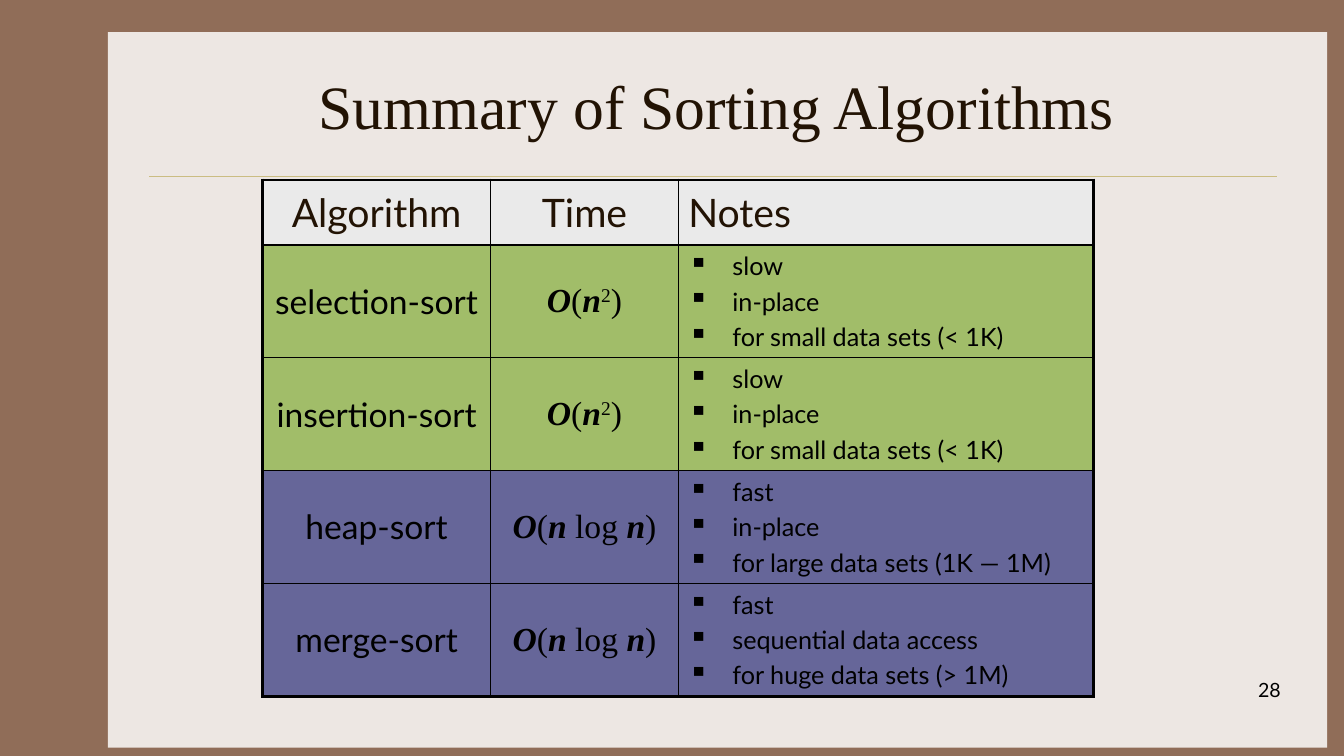
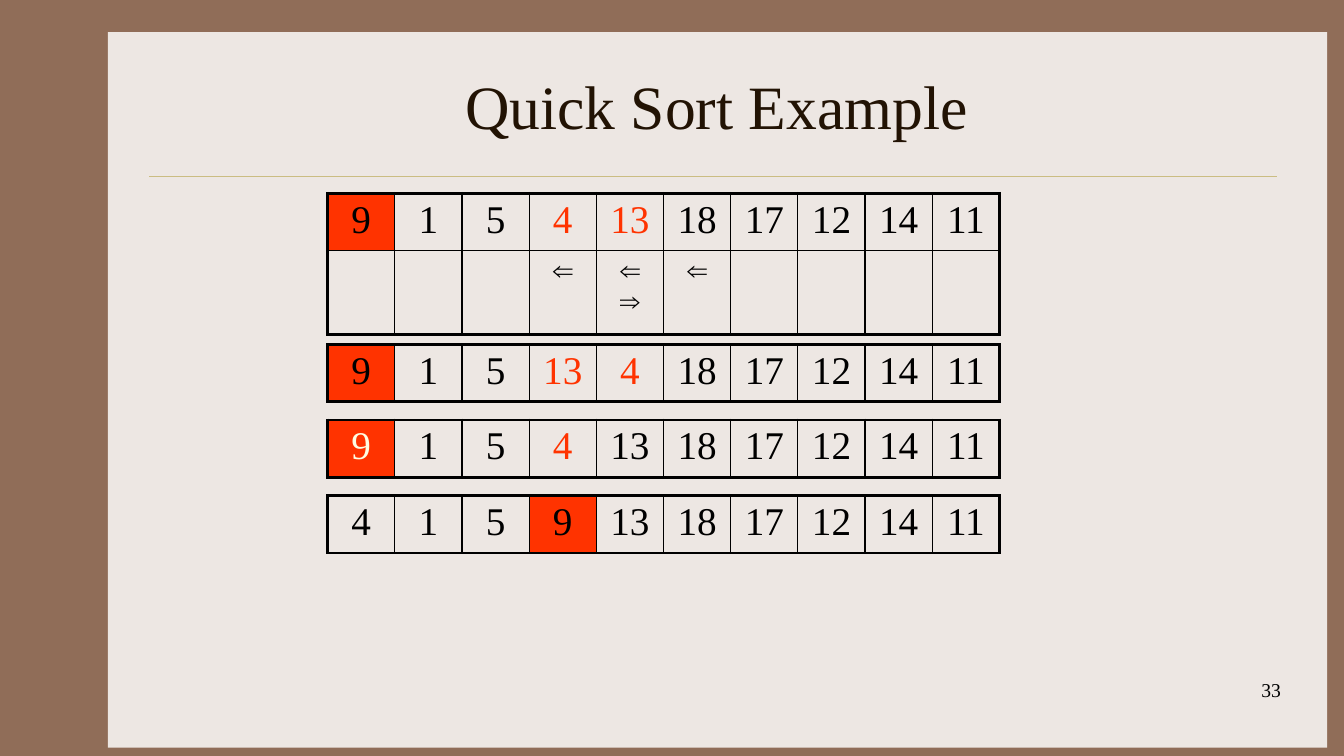
import dataclasses
import typing

import lxml.etree
import pptx
import pptx.dml.color
import pptx.enum.shapes
import pptx.enum.text
import pptx.oxml.ns
import pptx.util

Pt = pptx.util.Pt
qn = pptx.oxml.ns.qn
Align = pptx.enum.text.PP_ALIGN
Anchor = pptx.enum.text.MSO_ANCHOR

COLORS = {
    "frame": "906D58",
    "paper": "EDE7E3",
    "rule": "CBBD83",
    "heading": "221304",
    "ink": "000000",
    "cream": "FEFDE3",
    "header": "EAEAEA",
    "slow": "A1BD69",
    "fast": "666699",
    "pivot": "FF3300",
}
SERIF = "Times New Roman"
SANS = "Lato"
THICK, THIN = 2.25, 1
BULLET_INDENT = 31.5


@dataclasses.dataclass(frozen=True)
class Span:
    text: str
    strong: bool = False
    raised: bool = False


@dataclasses.dataclass(frozen=True)
class Cell:
    text: str | tuple[Span, ...] = ""
    fill: str | None = None
    size: float = 28
    font: str = SERIF
    color: str = "ink"
    align: Align = Align.CENTER
    bold: bool = False
    bullet: str | None = None


@dataclasses.dataclass(frozen=True)
class Algorithm:
    name: str
    time: tuple[Span, ...]
    notes: str
    fill: str


@dataclasses.dataclass(frozen=True)
class Step:
    top: float
    numbers: tuple[int, ...]
    pivot: int
    marked: tuple[int, ...] = ()
    pivot_color: str = "ink"
    arrows: dict[int, str] = dataclasses.field(default_factory=dict)


QUADRATIC = (Span("O", strong=True), Span("("), Span("n", strong=True),
             Span("2", raised=True), Span(")"))
LINEARITHMIC = (Span("O", strong=True), Span("("), Span("n", strong=True),
                Span(" log "), Span("n", strong=True), Span(")"))
SMALL_NOTES = "slow\nin-place\nfor small data sets (< 1K)"

ALGORITHMS = (
    Algorithm("selection-sort", QUADRATIC, SMALL_NOTES, "slow"),
    Algorithm("insertion-sort", QUADRATIC, SMALL_NOTES, "slow"),
    Algorithm("heap-sort", LINEARITHMIC,
              "fast\nin-place\nfor large data sets (1K — 1M)", "fast"),
    Algorithm("merge-sort", LINEARITHMIC,
              "fast\nsequential data access\nfor huge data sets (> 1M)", "fast"),
)

TAIL = (18, 17, 12, 14, 11)
STEPS = (
    Step(138, (9, 1, 5, 4, 13, *TAIL), pivot=0, marked=(3, 4),
         arrows={3: "⇐", 4: "⇐ ⇒", 5: "⇐"}),
    Step(246, (9, 1, 5, 13, 4, *TAIL), pivot=0, marked=(3, 4)),
    Step(300, (9, 1, 5, 4, 13, *TAIL), pivot=0, marked=(3,), pivot_color="cream"),
    Step(354, (4, 1, 5, 9, 13, *TAIL), pivot=3),
)


def rgb(name: str) -> pptx.dml.color.RGBColor:
    return pptx.dml.color.RGBColor.from_string(COLORS[name])


def add_bullet(para: typing.Any, mark: str) -> None:
    properties = para._p.get_or_add_pPr()
    properties.set("marL", str(Pt(BULLET_INDENT)))
    properties.set("indent", str(-Pt(BULLET_INDENT)))
    color = lxml.etree.SubElement(properties, qn("a:buClr"))
    lxml.etree.SubElement(color, qn("a:srgbClr"), val=COLORS["ink"])
    lxml.etree.SubElement(properties, qn("a:buSzPct"), val="110000")
    lxml.etree.SubElement(properties, qn("a:buChar"), char=mark)


def write(
    frame: typing.Any,
    text: str | tuple[Span, ...],
    *,
    size: float,
    font: str,
    color: str,
    align: Align,
    bold: bool = False,
    bullet: str | None = None,
) -> None:
    if isinstance(text, str):
        lines = [(Span(line, strong=False),) for line in text.split("\n")]
    else:
        lines = [text]
    for index, spans in enumerate(lines):
        para = frame.add_paragraph() if index else frame.paragraphs[0]
        para.alignment = align
        if index:
            para.space_before = Pt(size * 0.2)
        if bullet:
            add_bullet(para, bullet)
        for part in spans:
            span = para.add_run()
            span.text = part.text
            span.font.size = Pt(size)
            span.font.name = font
            span.font.color.rgb = rgb(color)
            span.font.bold = bold or part.strong
            span.font.italic = part.strong
            if part.raised:
                span._r.get_or_add_rPr().set("baseline", "30000")


def add_text(
    page: typing.Any,
    text: str,
    left: float,
    top: float,
    width: float,
    height: float,
    anchor: Anchor,
    **style: typing.Any,
) -> None:
    box = page.shapes.add_textbox(Pt(left), Pt(top), Pt(width), Pt(height))
    box.text_frame.word_wrap = True
    box.text_frame.vertical_anchor = anchor
    write(box.text_frame, text, **style)


def add_page(deck: typing.Any, title: str, number: int, number_font: str) -> typing.Any:
    page = deck.slides.add_slide(deck.slide_layouts[6])
    page.background.fill.solid()
    page.background.fill.fore_color.rgb = rgb("frame")
    paper = page.shapes.add_shape(
        pptx.enum.shapes.MSO_SHAPE.RECTANGLE, Pt(77), Pt(23), Pt(871), Pt(511))
    paper.shadow.inherit = False
    paper.fill.solid()
    paper.fill.fore_color.rgb = rgb("paper")
    paper.line.fill.background()
    rule = page.shapes.add_connector(
        pptx.enum.shapes.MSO_CONNECTOR.STRAIGHT, Pt(106.5), Pt(126), Pt(912), Pt(126))
    rule.line.color.rgb = rgb("rule")
    rule.line.width = Pt(0.25)
    lxml.etree.SubElement(rule._element.spPr, qn("a:effectLst"))
    add_text(page, title, 112, 30, 800, 90, Anchor.MIDDLE,
             size=44, font=SERIF, color="heading", align=Align.CENTER)
    add_text(page, str(number), 722, 481, 200, 36, Anchor.TOP,
             size=14, font=number_font, color="ink", align=Align.RIGHT)
    return page


def set_borders(cell: typing.Any, widths: dict[str, float]) -> None:
    properties = cell._tc.get_or_add_tcPr()
    for index, (side, width) in enumerate(widths.items()):
        line = lxml.etree.Element(qn(f"a:ln{side}"), w=str(Pt(width)))
        fill = lxml.etree.SubElement(line, qn("a:solidFill"))
        lxml.etree.SubElement(fill, qn("a:srgbClr"), val=COLORS["ink"])
        properties.insert(index, line)


def add_grid(
    page: typing.Any,
    rows: list[list[Cell]],
    left: float,
    top: float,
    widths: list[float],
    heights: list[float],
    anchor: Anchor,
    header: bool = False,
) -> None:
    table = page.shapes.add_table(
        len(rows), len(widths), Pt(left), Pt(top),
        Pt(sum(widths)), Pt(sum(heights))).table
    table.first_row = False
    table.horz_banding = False
    for column, width in zip(table.columns, widths):
        column.width = Pt(width)
    for row, height in zip(table.rows, heights):
        row.height = Pt(height)
    thick_rows = {0, len(rows)} | ({1} if header else set())
    thick_columns = {0, len(widths)}
    for y, row in enumerate(rows):
        for x, item in enumerate(row):
            cell = table.cell(y, x)
            cell.vertical_anchor = anchor
            if item.fill:
                cell.fill.solid()
                cell.fill.fore_color.rgb = rgb(item.fill)
            else:
                cell.fill.background()
            set_borders(cell, {
                "L": THICK if x in thick_columns else THIN,
                "R": THICK if x + 1 in thick_columns else THIN,
                "T": THICK if y in thick_rows else THIN,
                "B": THICK if y + 1 in thick_rows else THIN,
            })
            if item.text:
                write(cell.text_frame, item.text, size=item.size, font=item.font,
                      color=item.color, align=item.align, bold=item.bold,
                      bullet=item.bullet)


def add_summary(deck: typing.Any) -> None:
    page = add_page(deck, "Summary of Sorting Algorithms", 28, SANS)
    headings = (("Algorithm", Align.CENTER), ("Time", Align.CENTER), ("Notes", Align.LEFT))
    rows = [[Cell(text, "header", font=SANS, color="heading", align=align)
             for text, align in headings]]
    for entry in ALGORITHMS:
        rows.append([
            Cell(entry.name, entry.fill, size=24, font=SANS),
            Cell(entry.time, entry.fill, size=24),
            Cell(entry.notes, entry.fill, size=18, font=SANS,
                 align=Align.LEFT, bullet="▪"),
        ])
    add_grid(page, rows, 187.5, 128.5, [163, 134, 296.5],
             [46.5] + [80.6] * len(ALGORITHMS), Anchor.MIDDLE, header=True)


def number_cell(step: Step, index: int) -> Cell:
    text = str(step.numbers[index])
    if index == step.pivot:
        return Cell(text, "pivot", color=step.pivot_color)
    return Cell(text, color="pivot" if index in step.marked else "ink")


def add_example(deck: typing.Any) -> None:
    page = add_page(deck, "Quick Sort Example", 33, SERIF)
    for step in STEPS:
        count = len(step.numbers)
        rows = [[number_cell(step, index) for index in range(count)]]
        heights = [41]
        if step.arrows:
            rows.append([Cell(step.arrows.get(index, ""), size=20, bold=True)
                         for index in range(count)])
            heights.append(60)
        add_grid(page, rows, 234, step.top, [48] * count, heights, Anchor.TOP)


def main() -> None:
    deck = pptx.Presentation()
    deck.slide_width = Pt(960)
    deck.slide_height = Pt(540)
    add_summary(deck)
    add_example(deck)
    deck.save("out.pptx")


if __name__ == "__main__":
    main()
